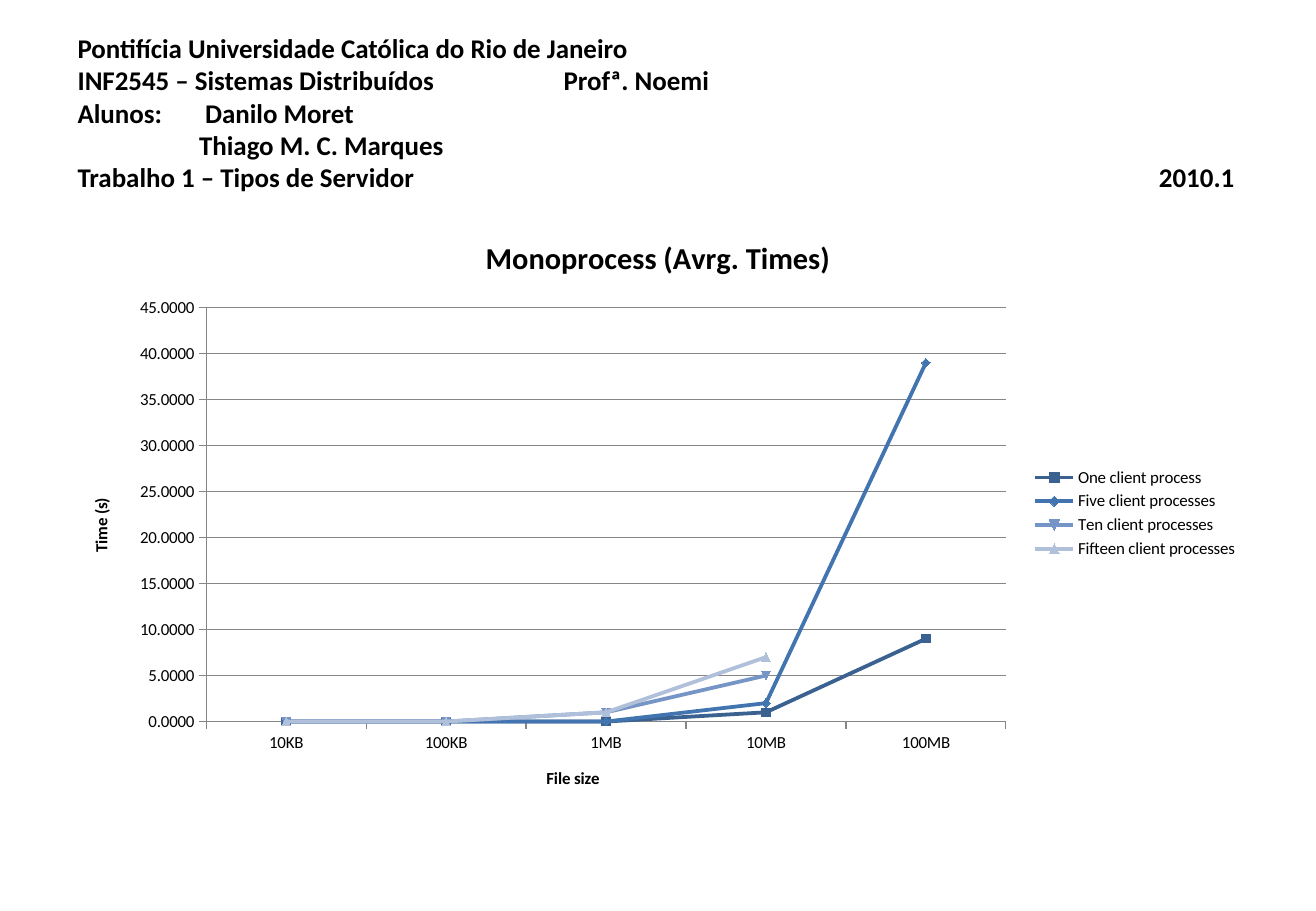
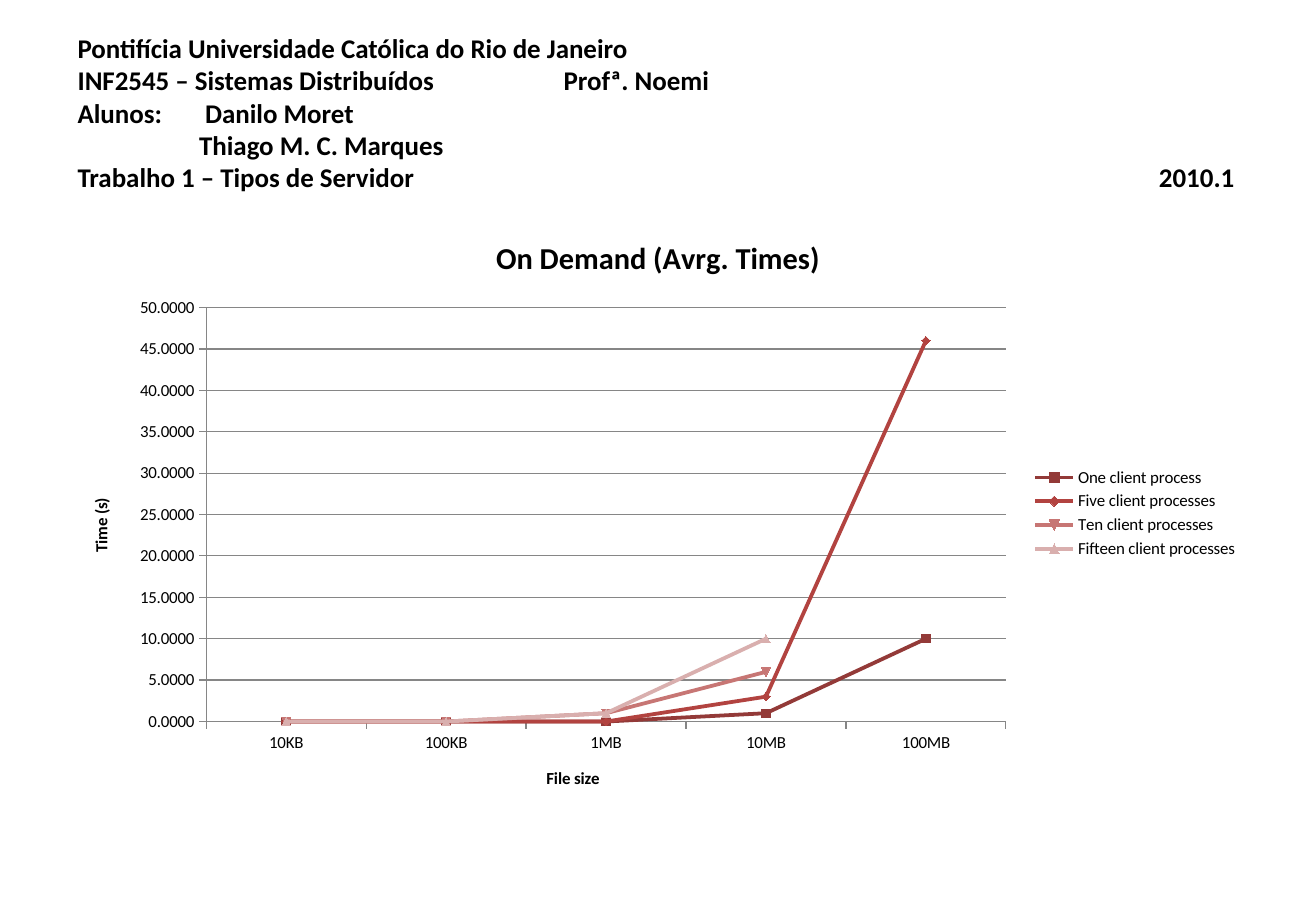
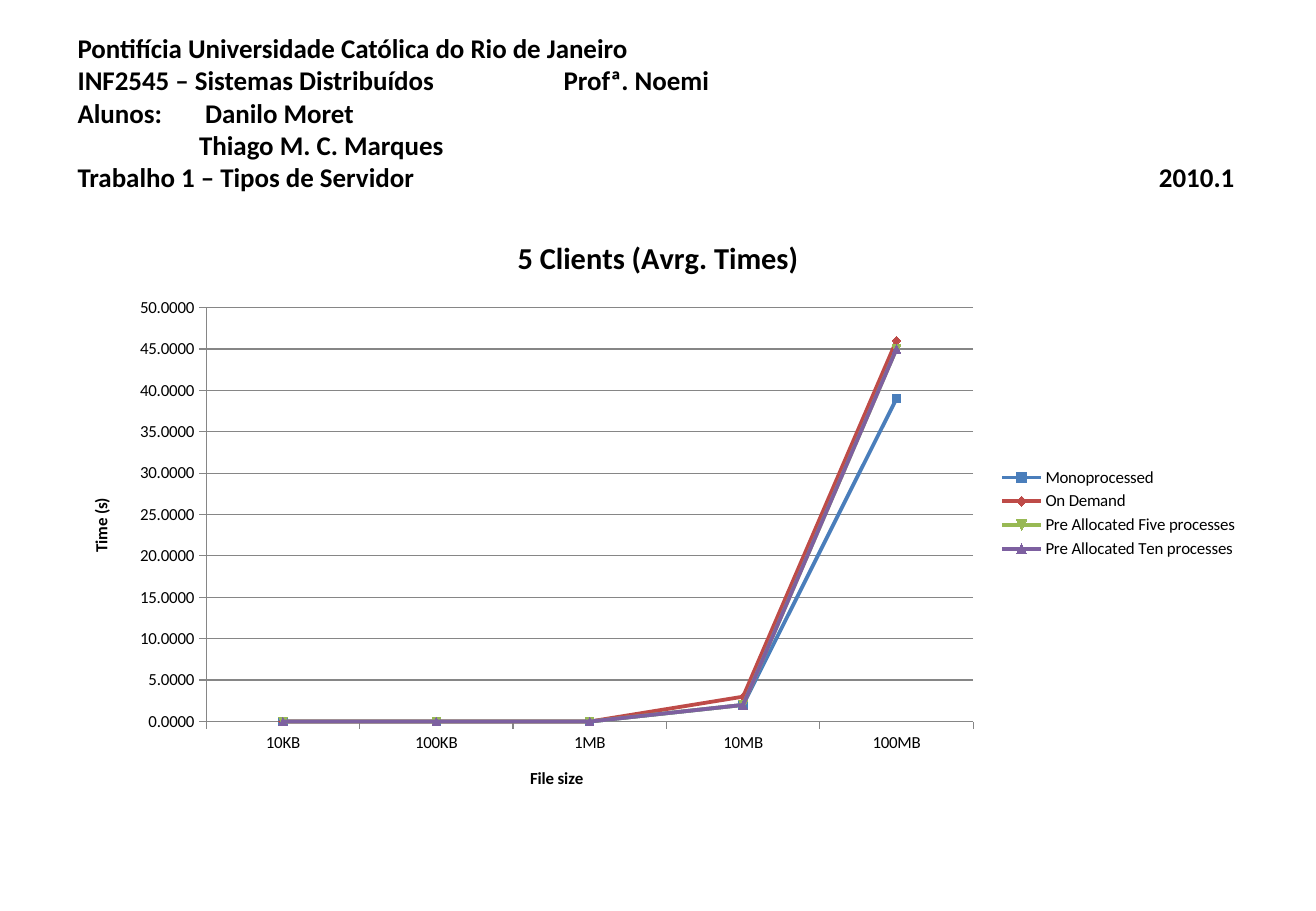
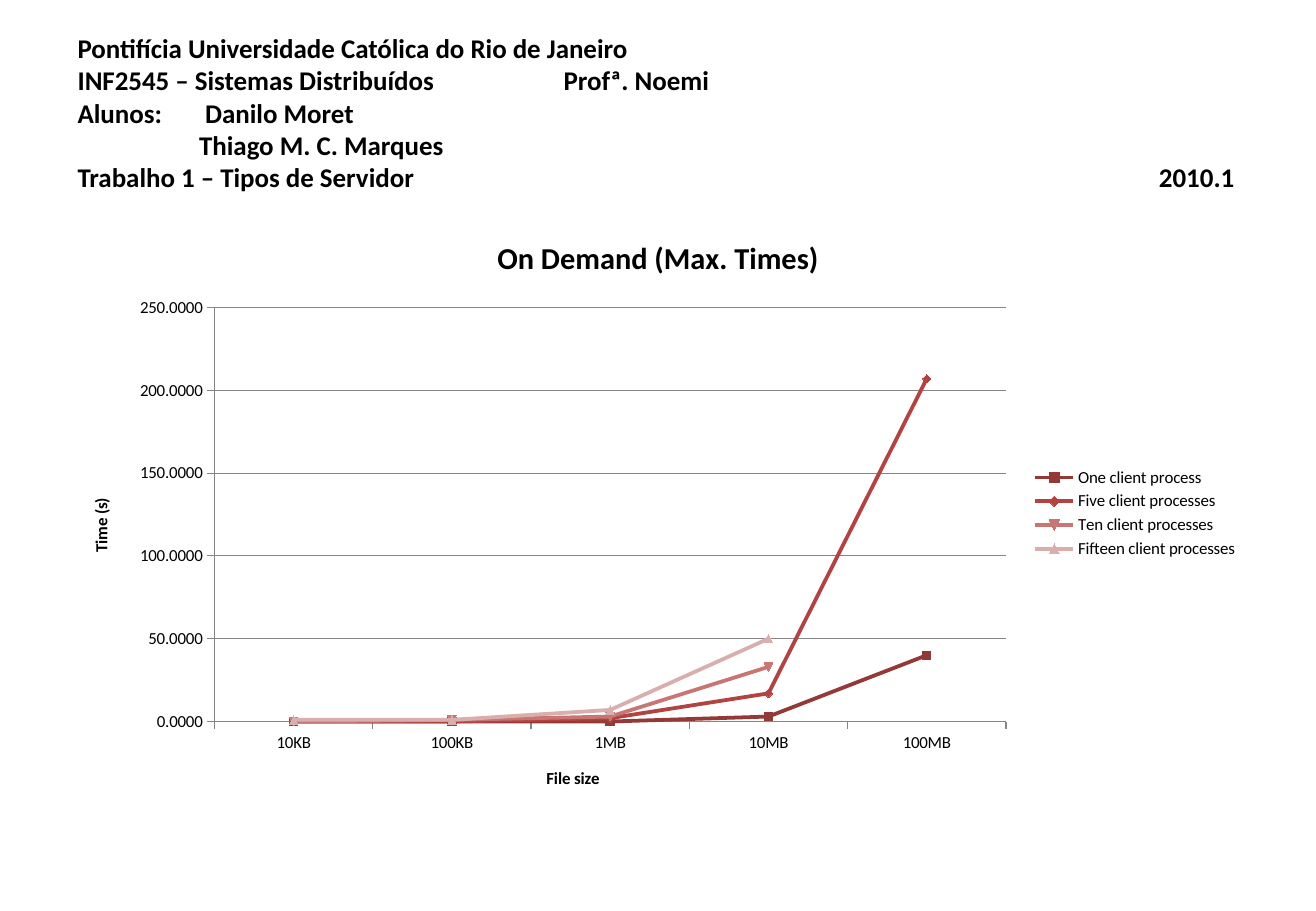
from dataclasses import dataclass

from lxml import etree
from pptx import Presentation
from pptx.chart.data import CategoryChartData
from pptx.dml.color import RGBColor
from pptx.enum.chart import XL_CHART_TYPE, XL_LEGEND_POSITION, XL_TICK_MARK
from pptx.enum.text import MSO_ANCHOR
from pptx.oxml.ns import qn
from pptx.util import Inches, Pt

LINE = XL_CHART_TYPE.LINE_MARKERS
RIGHT = XL_LEGEND_POSITION.RIGHT
OUT = XL_TICK_MARK.OUTSIDE
NONE = XL_TICK_MARK.NONE
MIDDLE = MSO_ANCHOR.MIDDLE


@dataclass(frozen=True)
class Theme:
    font: str = "Calibri"
    ink: str = "000000"
    grid: str = "868686"
    blues: tuple = ("3A6190", "4274B0", "7495C6", "B0BFDA")
    reds: tuple = ("933A38", "B24340", "C77674", "D9AFAE")
    mixed: tuple = ("4A7EBB", "BE4B48", "98B954", "7D60A0")
    head: int = 16
    title: int = 18
    label: int = 10
    stroke: float = 2.25
    thin: float = 0.75


# Text and places shared by all slides
LEFT, WIDTH = 0.54, 9.75
TABS = ((1, "l"), (4, "l"), (9.52, "r"))
HEAD = "\v".join((
    "Pontifícia Universidade Católica do Rio de Janeiro",
    "INF2545 – Sistemas Distribuídos\tProfª. Noemi",
    "Alunos:\t Danilo Moret",
    "\tThiago M. C. Marques",
    "Trabalho 1 – Tipos de Servidor\t\t2010.1",
))
SIZES = ("10KB", "100KB", "1MB", "10MB", "100MB")
CLIENTS = ("One client process", "Five client processes",
           "Ten client processes", "Fifteen client processes")
SERVERS = ("Monoprocessed", "On Demand",
           "Pre Allocated Five processes", "Pre Allocated Ten processes")


def apply(item, values):
    for name, value in values.items():
        setattr(item, name, value)


class Deck:
    def __init__(self, theme):
        self.theme = theme
        self.show = Presentation()
        apply(self.show, {"slide_width": Inches(10.83),
                          "slide_height": Inches(7.5)})
        self.slide = None

    def page(self):
        self.slide = self.show.slides.add_slide(self.show.slide_layouts[6])

    def style(self, font, size, bold=False):
        apply(font, {"name": self.theme.font, "size": Pt(size), "bold": bold})
        font.color.rgb = RGBColor.from_string(self.theme.ink)

    def stroke(self, line, color, width):
        line.color.rgb = RGBColor.from_string(color)
        line.width = Pt(width)

    def header(self):
        box = self.slide.shapes.add_textbox(
            Inches(LEFT), Inches(0.3), Inches(WIDTH), Inches(1.25))
        frame = box.text_frame
        apply(frame, {"word_wrap": True, "vertical_anchor": MIDDLE})
        para = frame.paragraphs[0]
        para.text = HEAD
        for run in para.runs:
            self.style(run.font, self.theme.head, True)
        # Tab stops set the columns of the heading
        tabs = etree.SubElement(para._p.get_or_add_pPr(), qn("a:tabLst"))
        for pos, side in TABS:
            etree.SubElement(tabs, qn("a:tab"),
                             pos=str(Inches(pos)), algn=side)

    def label(self, title, text, size):
        title.text_frame.text = text
        run = title.text_frame.paragraphs[0].runs[0]
        self.style(run.font, size, True)

    def axis(self, axis, text):
        apply(axis, {"has_title": True, "major_tick_mark": OUT,
                     "minor_tick_mark": NONE})
        self.label(axis.axis_title, text, self.theme.label)
        self.stroke(axis.format.line, self.theme.grid, self.theme.thin)

    def chart(self, title, names, rows, colors):
        data = CategoryChartData(number_format="0.0000")
        data.categories = SIZES
        for name, row in zip(names, rows):
            data.add_series(name, row)
        chart = self.slide.shapes.add_chart(
            LINE, Inches(LEFT), Inches(1.75), Inches(WIDTH), Inches(4.95),
            data).chart
        self.style(chart.font, self.theme.label)
        apply(chart, {"has_title": True, "has_legend": True})
        self.label(chart.chart_title, title, self.theme.title)
        apply(chart.legend, {"position": RIGHT, "include_in_layout": False})

        # Axes and grid
        self.axis(chart.category_axis, "File size")
        value = chart.value_axis
        self.axis(value, "Time (s)")
        value.has_major_gridlines = True
        self.stroke(value.major_gridlines.format.line,
                    self.theme.grid, self.theme.thin)
        apply(value.tick_labels, {"number_format": "0.0000",
                                  "number_format_is_linked": False})

        # Lines and markers
        plot = chart.plots[0]
        plot.vary_by_categories = False
        for series, color in zip(plot.series, colors):
            series.smooth = False
            self.stroke(series.format.line, color, self.theme.stroke)
            mark = series.marker.format
            mark.fill.solid()
            mark.fill.fore_color.rgb = RGBColor.from_string(color)
            self.stroke(mark.line, color, self.theme.thin)


theme = Theme()
deck = Deck(theme)

# One entry per slide: title, series names, times, colours
CHARTS = (
    ("Monoprocess (Avrg. Times)", CLIENTS, (
        (0, 0, 0, 1, 9),
        (0, 0, 0, 2, 39),
        (0, 0, 1, 5, None),
        (0, 0, 1, 7, None)), theme.blues),
    ("On Demand (Avrg. Times)", CLIENTS, (
        (0, 0, 0, 1, 10),
        (0, 0, 0, 3, 46),
        (0, 0, 1, 6, None),
        (0, 0, 1, 10, None)), theme.reds),
    ("5 Clients (Avrg. Times)", SERVERS, (
        (0, 0, 0, 2, 39),
        (0, 0, 0, 3, 46),
        (0, 0, 0, 2, 45),
        (0, 0, 0, 2, 45)), theme.mixed),
    ("On Demand (Max. Times)", CLIENTS, (
        (0, 0, 0, 3, 40),
        (0, 0, 2, 17, 207),
        (0, 1, 3, 33, None),
        (1, 1, 7, 50, None)), theme.reds),
)

for entry in CHARTS:
    deck.page()
    deck.header()
    deck.chart(*entry)

deck.show.save("out.pptx")
